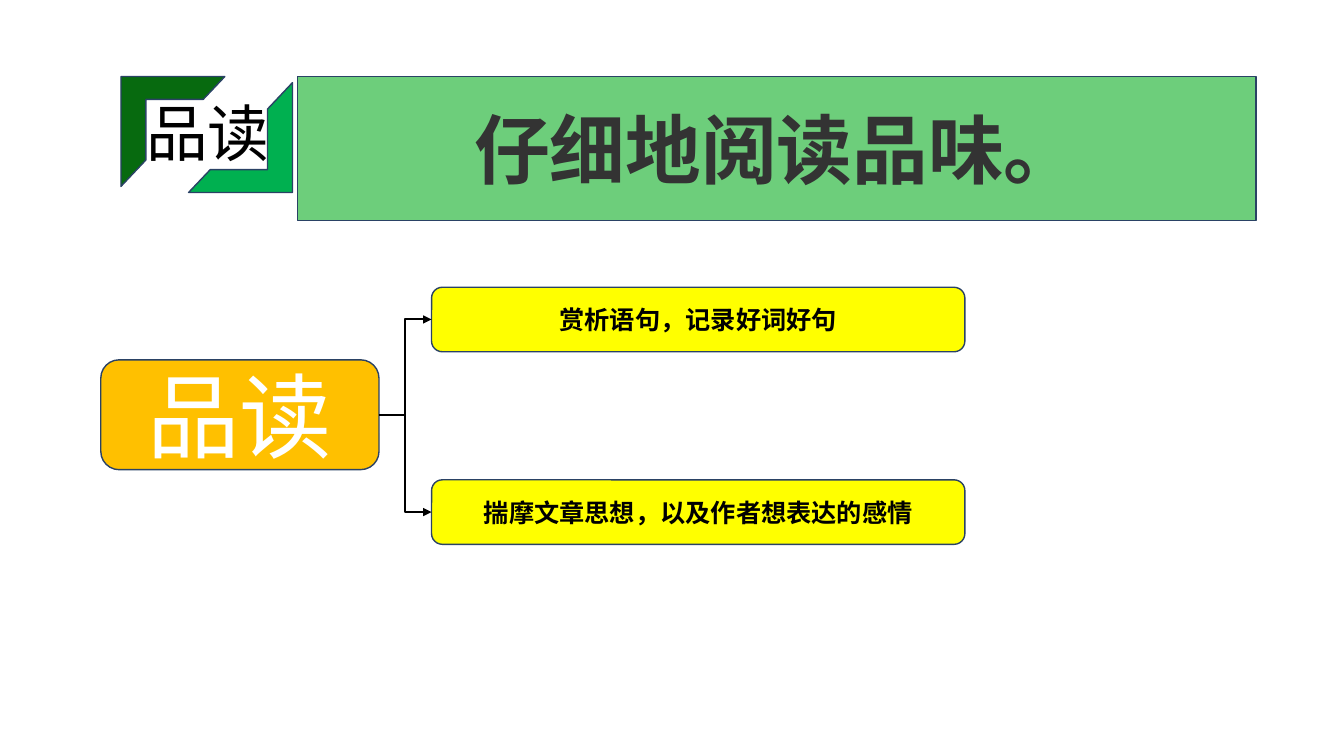
"""Build the close-reading slide: a framed title banner and a two-branch diagram."""
from lxml.etree import SubElement
from pptx import Presentation
from pptx.dml.color import RGBColor
from pptx.enum.shapes import MSO_CONNECTOR, MSO_SHAPE
from pptx.enum.text import MSO_ANCHOR, MSO_AUTO_SIZE, PP_ALIGN
from pptx.oxml.ns import qn
from pptx.util import Inches, Pt

BLACK = RGBColor(0x00, 0x00, 0x00)
WHITE = RGBColor(0xFF, 0xFF, 0xFF)
CHARCOAL = RGBColor(0x33, 0x33, 0x33)
NAVY = RGBColor(0x2A, 0x42, 0x65)
DARK_GREEN = RGBColor(0x07, 0x6A, 0x0F)
GREEN = RGBColor(0x00, 0xB0, 0x50)
LIGHT_GREEN = RGBColor(0x6D, 0xCE, 0x7B)
ORANGE = RGBColor(0xFF, 0xC0, 0x00)
YELLOW = RGBColor(0xFF, 0xFF, 0x00)

prs = Presentation()
prs.slide_width, prs.slide_height = Inches(13.33), Inches(7.5)
s = prs.slides.add_slide(prs.slide_layouts[6])


def area(left, top, width, height):
    """Turn percentages of the slide into a position and size."""
    col, row = prs.slide_width / 100, prs.slide_height / 100
    return round(left * col), round(top * row), round(width * col), round(height * row)


def write(sp, text, size, color, bold=False):
    """Put one line of formatted text in a shape."""
    p = sp.text_frame.paragraphs[0]
    r = p.add_run()
    r.text = text
    for name, value in {"name": "Arial", "size": Pt(size), "bold": bold}.items():
        setattr(r.font, name, value)
    r.font.color.rgb = color
    return p


label = s.shapes.add_textbox(*area(10.13, 11.87, 10.8, 11.2))
label.text_frame.word_wrap = False
label.text_frame.auto_size = MSO_AUTO_SIZE.SHAPE_TO_FIT_TEXT
write(label, "品读", 44, BLACK)

FRAME, RECT, ROUND = MSO_SHAPE.HALF_FRAME, MSO_SHAPE.RECTANGLE, MSO_SHAPE.ROUNDED_RECTANGLE
blocks = [
    (FRAME, (9, 10.13, 7.73, 14.53), DARK_GREEN, None),
    (FRAME, (14.03, 10.93, 7.73, 14.53), GREEN, None),
    (RECT, (22.13, 10.13, 71.33, 19.07), LIGHT_GREEN, ("仔细地阅读品味。", 54, CHARCOAL, True)),
    (ROUND, (7.5, 47.6, 20.7, 14.53), ORANGE, ("品读", 66, WHITE)),
]
for i, text in enumerate(["赏析语句，记录好词好句", "揣摩文章思想，以及作者想表达的感情"]):
    blocks.append((ROUND, (32.11, 38 + 25.47 * i, 39.68, 8.53), YELLOW, (text, 18, BLACK, True)))

shapes = []
for kind, place, fill, content in blocks:
    sp = s.shapes.add_shape(kind, *area(*place))
    sp.shadow.inherit = False
    sp.fill.solid()
    sp.fill.fore_color.rgb = fill
    sp.line.color.rgb = NAVY
    sp.line.width = Pt(1)
    if kind == FRAME:
        sp.adjustments[0], sp.adjustments[1] = 0.22, 0.24
    if content:
        sp.text_frame.vertical_anchor = MSO_ANCHOR.MIDDLE
        write(sp, *content).alignment = PP_ALIGN.CENTER
    shapes.append(sp)

upper_frame, lower_frame, banner, root, *branches = shapes
lower_frame.rotation = 180

for branch in branches:
    link = s.shapes.add_connector(MSO_CONNECTOR.ELBOW, 0, 0, 0, 0)
    link.begin_connect(root, 3)
    link.end_connect(branch, 1)
    link.line.color.rgb = BLACK
    link.line.width = Pt(1.5)
    SubElement(link.line._get_or_add_ln(), qn("a:tailEnd"), type="triangle")
    SubElement(link._element.spPr, qn("a:effectLst"))

prs.save("out.pptx")
